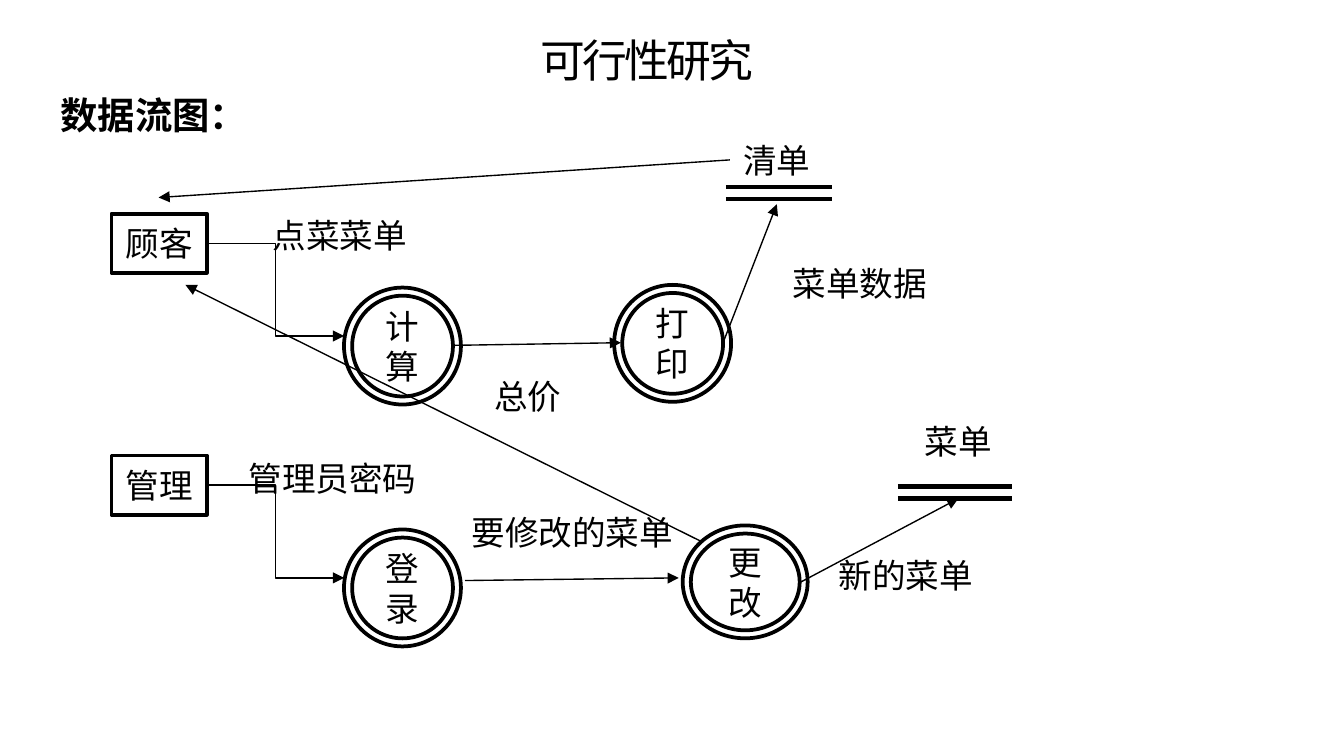
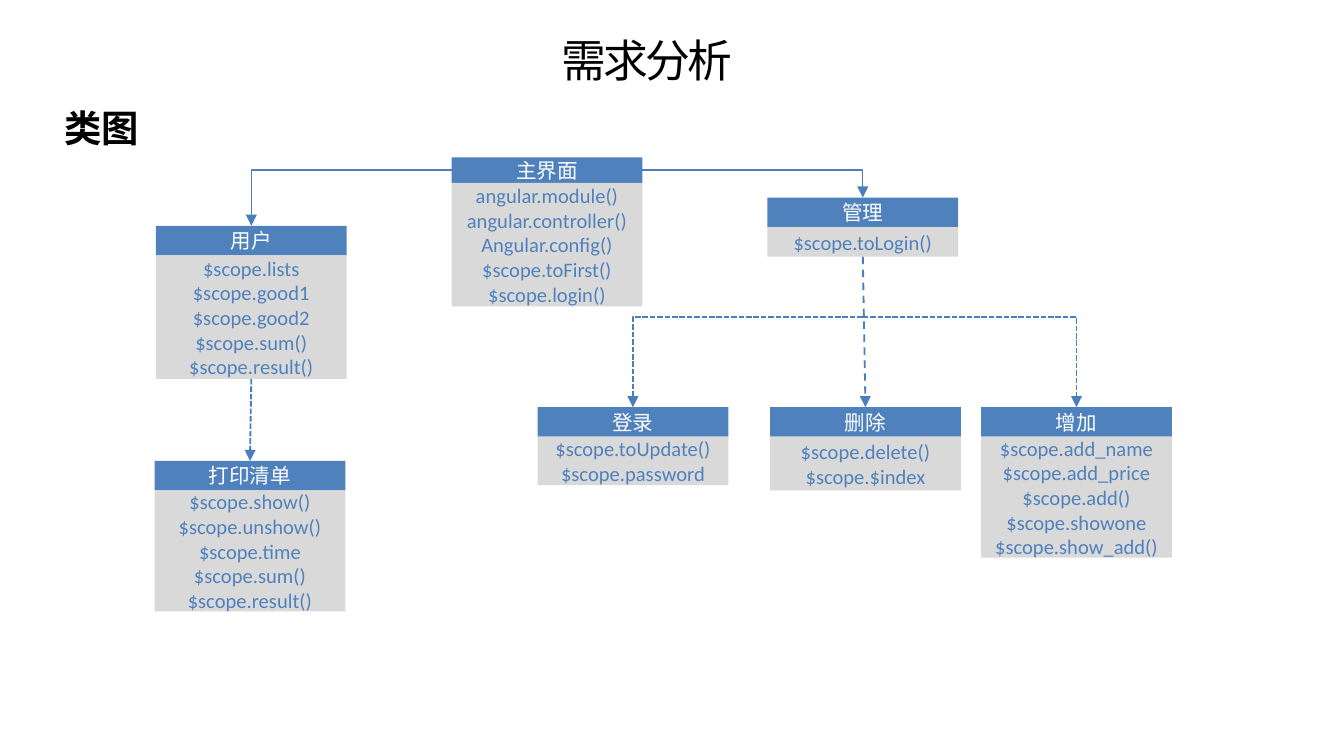
from dataclasses import dataclass

from lxml.etree import SubElement
from pptx import Presentation
from pptx.dml.color import RGBColor
from pptx.enum.dml import MSO_LINE as Dash
from pptx.enum.shapes import MSO_CONNECTOR as Connector, MSO_SHAPE as Preset
from pptx.enum.text import MSO_ANCHOR as Anchor, MSO_AUTO_SIZE as AutoSize, PP_ALIGN as Align
from pptx.oxml.ns import qn
from pptx.util import Inches, Pt


@dataclass(frozen=True)
class Theme:
    black: str = "000000"
    white: str = "FFFFFF"
    blue: str = "4F81BD"
    link: str = "4B7EBC"
    gray: str = "D9D9D9"
    font: str = "Calibri"
    title_font: str = "Open Sans"
    title: float = 24
    subtitle: float = 20
    label: float = 18
    code: float = 11
    outline: float = 2
    store: float = 2.25
    thin: float = 0.75
    dashed: float = 1


THEME = Theme()
TOP, LEFT, BOTTOM, RIGHT = range(4)

# Data flow diagram
FLOW_TITLE = "可行性研究"
FLOW_SUBTITLE = ("数据流图：", 0.35, 0.64, 1.42)
ENTITY_SIZE = (0.71, 0.44)
ENTITIES = [("顾客", 0.83, 1.59), ("管理", 0.83, 3.39)]
ENTRY_RUN, ENTRY_DROP = 1.02, 0.69  # entity to first process
RING_GAP = 0.06
PROCESSES = [  # text, left, top, width, height
    ("计算", 2.56, 2.14, 0.87, 0.87),
    ("打印", 4.57, 2.12, 0.87, 0.87),
    ("登录", 2.56, 3.94, 0.87, 0.87),
    ("更改", 5.08, 3.91, 0.93, 0.84),
]
STORE_GAP = 0.09
STORES = [(5.4, 6.19, 1.39), (6.68, 7.53, 3.62)]  # left, right, top
FLOWS = [  # begin, end
    ((3.37, 2.57), (4.62, 2.55)),
    ((5.38, 2.55), (5.78, 1.52)),
    ((3.46, 4.32), (5.05, 4.3)),
    ((5.96, 4.33), (7.13, 3.71)),
    ((5.43, 1.19), (1.18, 1.47)),
    ((5.22, 4.03), (1.38, 2.12)),
]
FLOW_LABELS = [  # text, left, top, width, wrap
    ("点菜菜单", 1.93, 1.55, 1.34, True),
    ("总价", 3.58, 2.75, 0.71, False),
    ("清单", 5.43, 0.99, 0.71, False),
    ("菜单数据", 5.8, 1.91, 1.21, False),
    ("管理员密码", 1.75, 3.36, 1.52, True),
    ("要修改的菜单", 3.41, 3.76, 1.8, True),
    ("菜单", 6.78, 3.08, 0.71, False),
    ("新的菜单", 6.14, 4.08, 1.8, True),
]

# Class diagram
CLASS_TITLE = "需求分析"
CLASS_SUBTITLE = ("类图", 0.38, 0.73, 0.77)
CARD_WIDTH = 1.42
CLASSES = {  # name: left, top, header height, body height, members
    "主界面": (3.36, 1.17, 0.19, 0.92, ["angular.module()", "angular.controller()",
                                     "Angular.config()", "$scope.toFirst()", "$scope.login()"]),
    "用户": (1.16, 1.68, 0.22, 0.92, ["$scope.lists", "$scope.good1", "$scope.good2",
                                    "$scope.sum()", "$scope.result()"]),
    "管理": (5.71, 1.47, 0.22, 0.22, ["$scope.toLogin()"]),
    "打印清单": (1.15, 3.43, 0.22, 0.9, ["$scope.show()", "$scope.unshow()", "$scope.time",
                                     "$scope.sum()", "$scope.result()"]),
    "删除": (5.73, 3.03, 0.22, 0.4, ["$scope.delete()", "$scope.$index"]),
    "增加": (7.3, 3.03, 0.22, 0.9, ["$scope.add_name", "$scope.add_price", "$scope.add()",
                                  "$scope.showone", "$scope.show_add()"]),
    "登录": (4, 3.03, 0.22, 0.36, ["$scope.toUpdate()", "$scope.password"]),
}
NAVIGATION = [("主界面", LEFT, "用户"), ("主界面", RIGHT, "管理")]
DEPENDENCIES = [("用户", "打印清单", Dash.SQUARE_DOT), ("管理", "删除", Dash.DASH)]
FORK = (6.42, 2.36)
FORK_TARGETS = ["登录", "增加"]


def write(shape, lines, size, color, align=Align.CENTER, bold=None, font=THEME.font):
    frame = shape.text_frame
    frame.text = "\n".join(lines)
    for paragraph in frame.paragraphs:
        paragraph.alignment = align
        paragraph.font.size = Pt(size)
        paragraph.font.name = font
        paragraph.font.bold = bold
        paragraph.font.color.rgb = RGBColor.from_string(color)
    return frame


def add_label(slide, text, left, top, width, height=0.4, size=THEME.label, wrap=True, **style):
    box = slide.shapes.add_textbox(*map(Inches, (left, top, width, height)))
    style.setdefault("align", Align.LEFT)
    frame = write(box, [text], size, THEME.black, **style)
    frame.word_wrap = wrap
    frame.auto_size = AutoSize.SHAPE_TO_FIT_TEXT
    return frame


def add_heading(slide, title, subtitle):
    frame = add_label(slide, title, -0.2, 0.21, 10.03, 0.45, THEME.title,
                      align=Align.CENTER, font=THEME.title_font)
    frame.margin_left = frame.margin_right = Inches(0.05)
    frame.margin_top = frame.margin_bottom = Inches(0.03)
    frame.paragraphs[0].runs[0].font._element.set("spc", "-150")
    add_label(slide, *subtitle, 0.44, THEME.subtitle, bold=True)


def add_block(shapes, preset, bounds, fill=None, outline=None):
    shape = shapes.add_shape(preset, *map(Inches, bounds))
    shape.shadow.inherit = False
    if fill:
        shape.fill.solid()
        shape.fill.fore_color.rgb = RGBColor.from_string(fill)
    else:
        shape.fill.background()
    if outline:
        shape.line.color.rgb = RGBColor.from_string(outline)
        shape.line.width = Pt(THEME.outline)
    else:
        shape.line.fill.background()
    shape.text_frame.vertical_anchor = Anchor.MIDDLE
    return shape


def add_line(slide, begin, end, kind=Connector.STRAIGHT, color=THEME.black,
             width=THEME.thin, dash=None, arrow=True):
    line = slide.shapes.add_connector(kind, *map(Inches, (*begin, *end)))
    line.line.color.rgb = RGBColor.from_string(color)
    line.line.width = Pt(width)
    if dash:
        line.line.dash_style = dash
    properties = line._element.spPr
    if arrow:
        SubElement(properties.find(qn("a:ln")), qn("a:tailEnd"), type="triangle")
    SubElement(properties, qn("a:effectLst"))
    return line


def add_corner(slide, begin, end, **style):
    """Add an arrow that runs sideways, then turns once."""
    line = add_line(slide, begin, end, Connector.ELBOW, THEME.link, **style)
    line._element.spPr.find(qn("a:prstGeom")).set("prst", "bentConnector2")
    return line


def side_middle(name, side):
    left, top, header, body, _ = CLASSES[name]
    return {
        TOP: (left + CARD_WIDTH / 2, top),
        BOTTOM: (left + CARD_WIDTH / 2, top + header + body),
        LEFT: (left, top + header / 2),
        RIGHT: (left + CARD_WIDTH, top + header / 2),
    }[side]


def add_card(slide, name):
    left, top, header_height, body_height, members = CLASSES[name]
    group = slide.shapes.add_group_shape()
    header = add_block(group.shapes, Preset.RECTANGLE,
                       (left, top, CARD_WIDTH, header_height), THEME.blue)
    write(header, [name], THEME.code, THEME.white)
    body = add_block(group.shapes, Preset.RECTANGLE,
                     (left, top + header_height, CARD_WIDTH, body_height), THEME.gray)
    write(body, members, THEME.code, THEME.blue)
    return header, body


def build_data_flow(slide):
    add_heading(slide, FLOW_TITLE, FLOW_SUBTITLE)
    for text, left, top in ENTITIES:
        width, height = ENTITY_SIZE
        entity = add_block(slide.shapes, Preset.RECTANGLE, (left, top, width, height),
                           outline=THEME.black)
        write(entity, [text], THEME.label, THEME.black)
        x, y = left + width, top + height / 2
        add_line(slide, (x, y), (x + ENTRY_RUN, y + ENTRY_DROP), Connector.ELBOW)
    for text, left, top, width, height in PROCESSES:
        outer = add_block(slide.shapes, Preset.OVAL, (left, top, width, height),
                          outline=THEME.black)
        write(outer, [text], THEME.label, THEME.black)
        add_block(slide.shapes, Preset.OVAL,
                  (left + RING_GAP, top + RING_GAP, width - 2 * RING_GAP, height - 2 * RING_GAP),
                  outline=THEME.black)
    for left, right, top in STORES:
        for y in (top, top + STORE_GAP):
            add_line(slide, (left, y), (right, y), width=THEME.store, arrow=False)
    for begin, end in FLOWS:
        add_line(slide, begin, end)
    for text, left, top, width, wrap in FLOW_LABELS:
        add_label(slide, text, left, top, width, wrap=wrap)


def build_class_diagram(slide):
    add_heading(slide, CLASS_TITLE, CLASS_SUBTITLE)
    cards = {name: add_card(slide, name) for name in CLASSES}
    for source, side, target in NAVIGATION:
        line = add_corner(slide, side_middle(source, side), side_middle(target, TOP))
        line.begin_connect(cards[source][0], side)
        line.end_connect(cards[target][0], TOP)
    for source, target, dash in DEPENDENCIES:
        line = add_line(slide, side_middle(source, BOTTOM), side_middle(target, TOP),
                        color=THEME.link, width=THEME.dashed, dash=dash)
        line.begin_connect(cards[source][1], BOTTOM)
        line.end_connect(cards[target][0], TOP)
    for target in FORK_TARGETS:
        add_corner(slide, FORK, side_middle(target, TOP),
                   width=THEME.dashed, dash=Dash.SQUARE_DOT)


def main():
    presentation = Presentation()
    presentation.slide_width = Inches(10)
    presentation.slide_height = presentation.slide_width * 9 // 16
    blank = presentation.slide_layouts[6]
    for build in (build_data_flow, build_class_diagram):
        build(presentation.slides.add_slide(blank))
    presentation.save("out.pptx")


if __name__ == "__main__":
    main()
